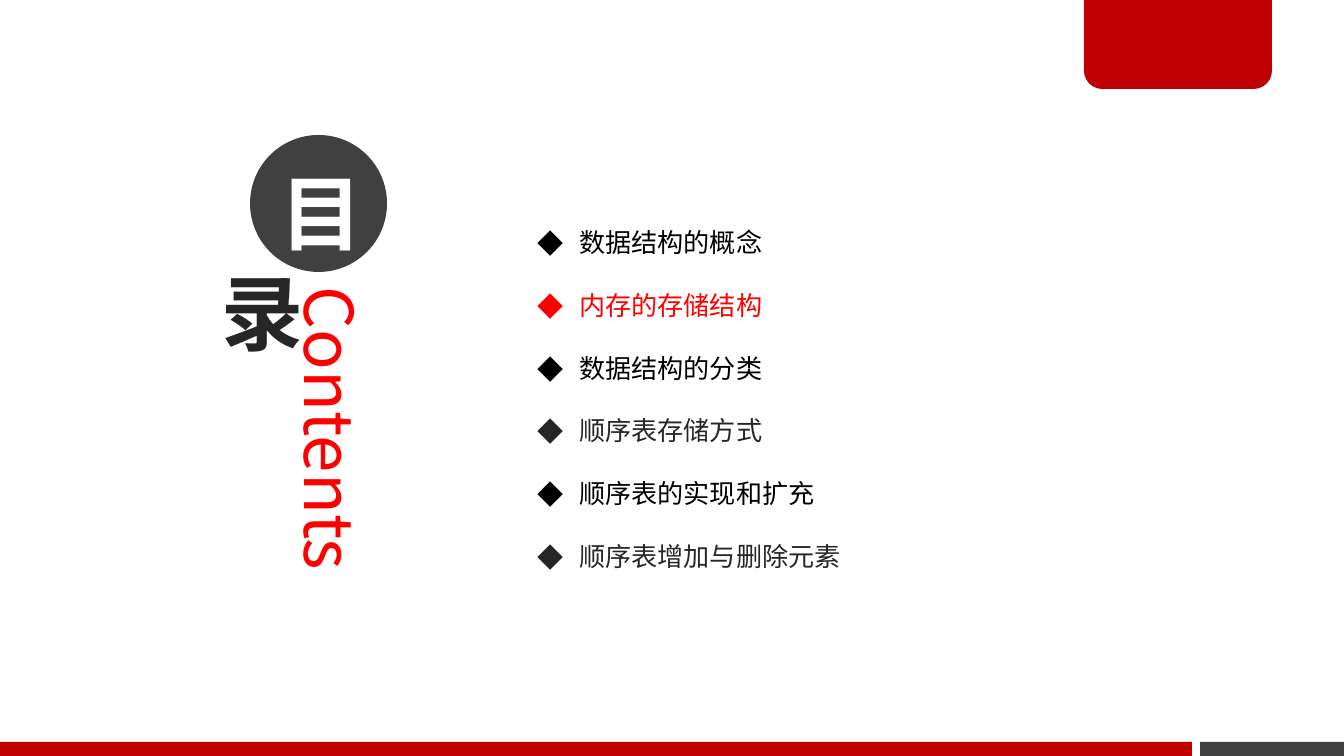
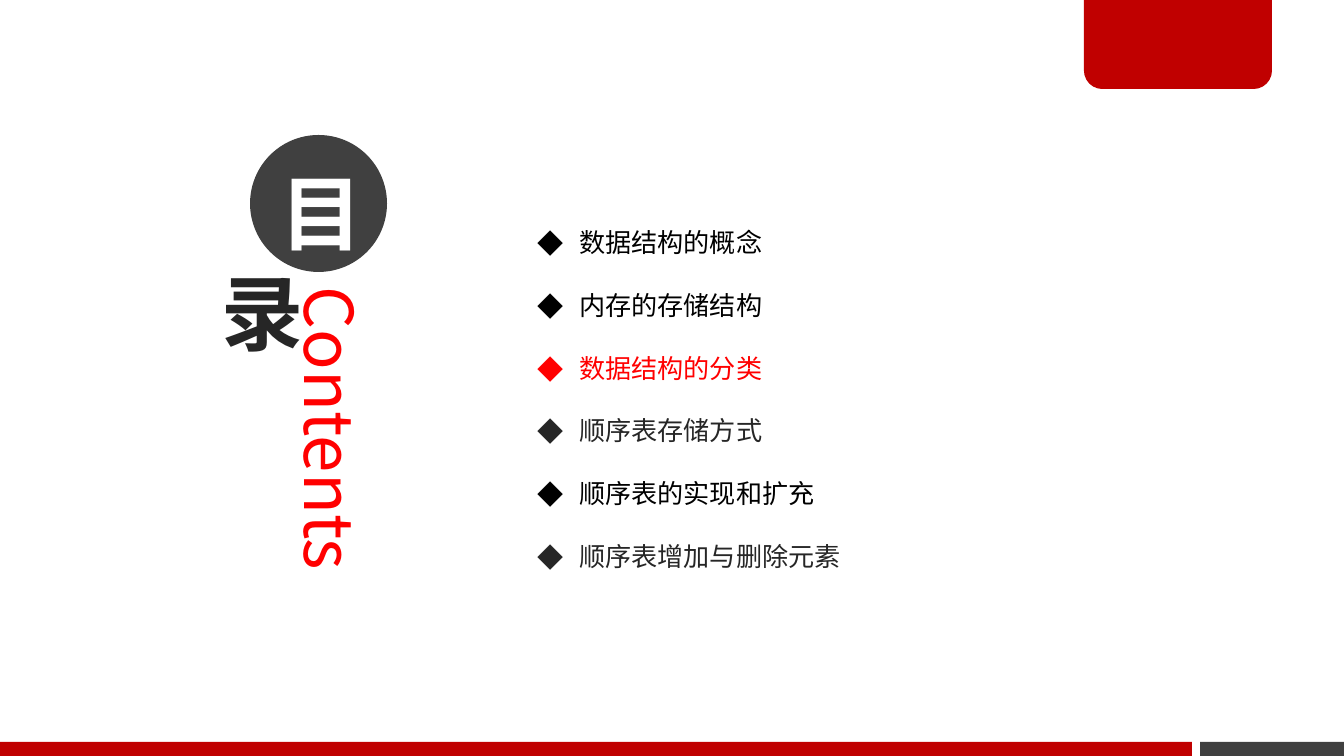
from dataclasses import dataclass

from lxml import etree
from pptx import Presentation
from pptx.dml.color import RGBColor
from pptx.enum.shapes import MSO_SHAPE
from pptx.enum.text import MSO_ANCHOR, MSO_AUTO_SIZE, PP_ALIGN
from pptx.oxml.ns import qn
from pptx.util import Pt

RECTANGLE = MSO_SHAPE.RECTANGLE
TAB = MSO_SHAPE.ROUND_2_SAME_RECTANGLE
OVAL = MSO_SHAPE.OVAL
TOP, MIDDLE = MSO_ANCHOR.TOP, MSO_ANCHOR.MIDDLE
LEFT, CENTER = PP_ALIGN.LEFT, PP_ALIGN.CENTER
FIXED_SIZE = MSO_AUTO_SIZE.NONE
TITLE_AND_CONTENT = 1
EMU_PER_PX = 914400 / 134.4
SLIDE_WIDTH, SLIDE_HEIGHT = 1344, 756


@dataclass(frozen=True)
class Theme:
    font: str = "Noto Sans CJK SC"
    band: str = "C00000"
    gray: str = "404040"
    ink: str = "262626"
    black: str = "000000"
    white: str = "FFFFFF"
    accent: str = "FF0000"
    sign_size: int = 44
    title_size: int = 36
    list_size: int = 14


THEME = Theme()
TOPICS = [
    ("数据结构的概念", THEME.black),
    ("内存的存储结构", THEME.black),
    ("数据结构的分类", THEME.black),
    ("顺序表存储方式", THEME.ink),
    ("顺序表的实现和扩充", THEME.black),
    ("顺序表增加与删除元素", THEME.ink),
]


def px(length):
    return round(length * EMU_PER_PX)


class Deck:
    """Holds the theme, the presentation and the current slide."""

    def __init__(self, theme):
        self.theme = theme
        self.presentation = Presentation()
        self.presentation.slide_width = px(SLIDE_WIDTH)
        self.presentation.slide_height = px(SLIDE_HEIGHT)
        self.slide = None

    def new_slide(self):
        layout = self.presentation.slide_layouts[TITLE_AND_CONTENT]
        self.slide = self.presentation.slides.add_slide(layout)
        self.bands()

    def place(self, shape, box):
        shape.left, shape.top, shape.width, shape.height = map(px, box)

    def shape(self, kind, box, fill=None):
        shape = self.slide.shapes.add_shape(kind, *map(px, box))
        shape.shadow.inherit = False
        shape.line.fill.background()
        if fill:
            shape.fill.solid()
            shape.fill.fore_color.rgb = RGBColor.from_string(fill)
        else:
            shape.fill.background()
        return shape

    def bands(self):
        self.shape(RECTANGLE, (1200, 742, 144, 14), self.theme.gray)
        tab = self.shape(TAB, (1084, -3, 188, 92), self.theme.band)
        tab.adjustments[0], tab.adjustments[1] = 0, 0.2
        self.shape(RECTANGLE, (0, 742, 1192, 14), self.theme.band)

    def frame(self, shape, anchor, bottom=5):
        frame = shape.text_frame
        frame.word_wrap = True
        frame.auto_size = FIXED_SIZE
        frame.vertical_anchor = anchor
        frame.margin_left = frame.margin_right = px(10)
        frame.margin_top, frame.margin_bottom = px(5), px(bottom)
        return frame

    def style(self, paragraph, size, color, align, bold=False):
        paragraph.alignment = align
        font = paragraph.font
        font.size, font.bold, font.name = Pt(size), bold, self.theme.font
        font.color.rgb = RGBColor.from_string(color)
        properties = paragraph._p.pPr.find(qn("a:defRPr"))
        etree.SubElement(properties, qn("a:ea"), typeface=self.theme.font)

    def vertical_title(self, text, box):
        title = self.slide.shapes.title
        self.place(title, box)
        frame = self.frame(title, TOP)
        frame._txBody.bodyPr.set("vert", "eaVert")
        frame.text = text
        self.style(frame.paragraphs[0], self.theme.title_size, self.theme.accent, LEFT)

    def sign(self, text, box, color, fill=None, bottom=5, spacing=None):
        shape = self.shape(OVAL, box, fill)
        frame = self.frame(shape, MIDDLE, bottom)
        frame.text = text
        paragraph = frame.paragraphs[0]
        paragraph.line_spacing = spacing
        self.style(paragraph, self.theme.sign_size, color, CENTER, True)

    def topics(self, topics, current, box):
        body = self.slide.placeholders[1]
        self.place(body, box)
        frame = self.frame(body, TOP)
        frame.margin_left = frame.margin_right = px(13)
        frame.margin_top = px(7)
        for index, (text, color) in enumerate(topics):
            paragraph = frame.add_paragraph() if index else frame.paragraphs[0]
            paragraph.text = text
            paragraph.line_spacing = 2.0
            paragraph.space_before = Pt(0)
            properties = paragraph._p.get_or_add_pPr()
            properties.set("marL", str(px(42)))
            properties.set("indent", str(px(-42)))
            etree.SubElement(properties, qn("a:buFont"), typeface=self.theme.font)
            etree.SubElement(properties, qn("a:buChar"), char="◆")
            shown = self.theme.accent if index == current else color
            self.style(paragraph, self.theme.list_size, shown, LEFT)


def main():
    deck = Deck(THEME)
    for current in (1, 2):
        deck.new_slide()
        deck.vertical_title("Contents", (288, 282, 94, 388))
        deck.sign("目", (250, 135, 137, 137), THEME.white, THEME.gray, 20, Pt(70))
        deck.sign("录", (196, 258, 108, 108), THEME.ink)
        deck.topics(TOPICS, current, (524, 188, 634, 384))
    deck.presentation.save("out.pptx")


if __name__ == "__main__":
    main()
